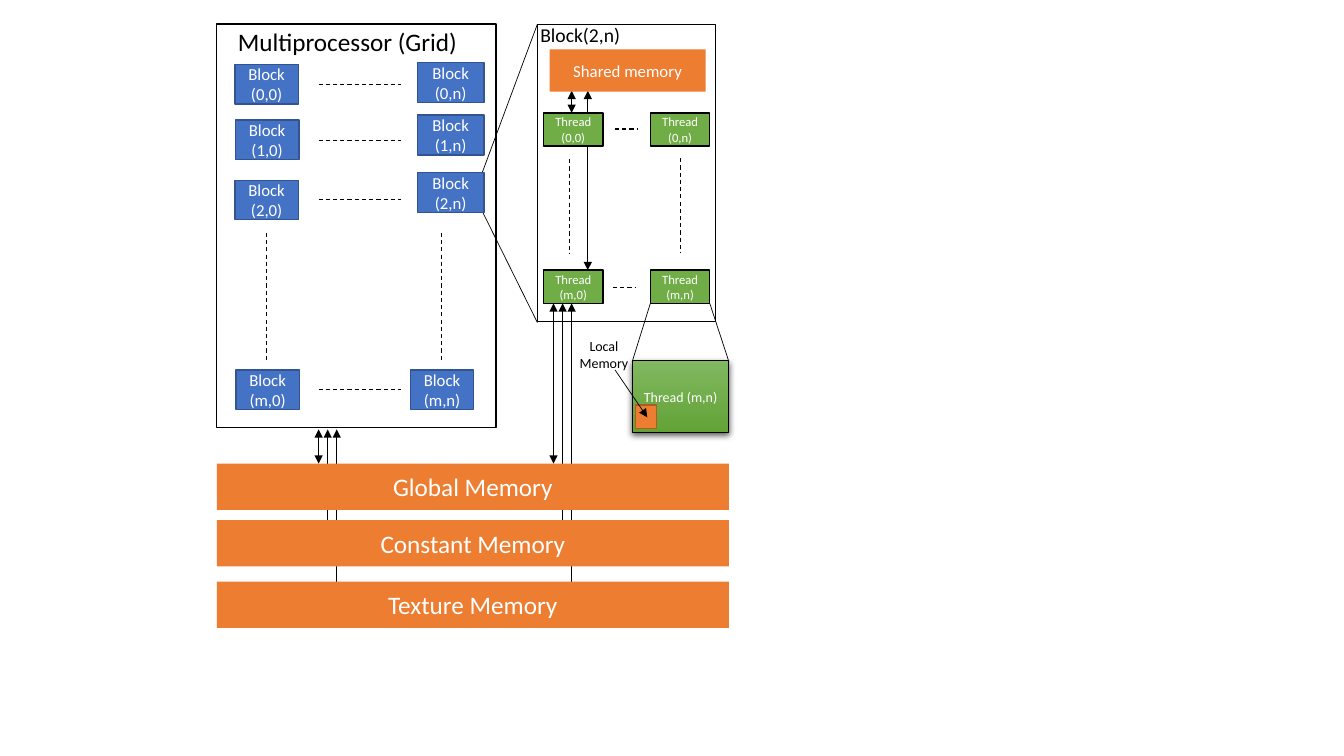
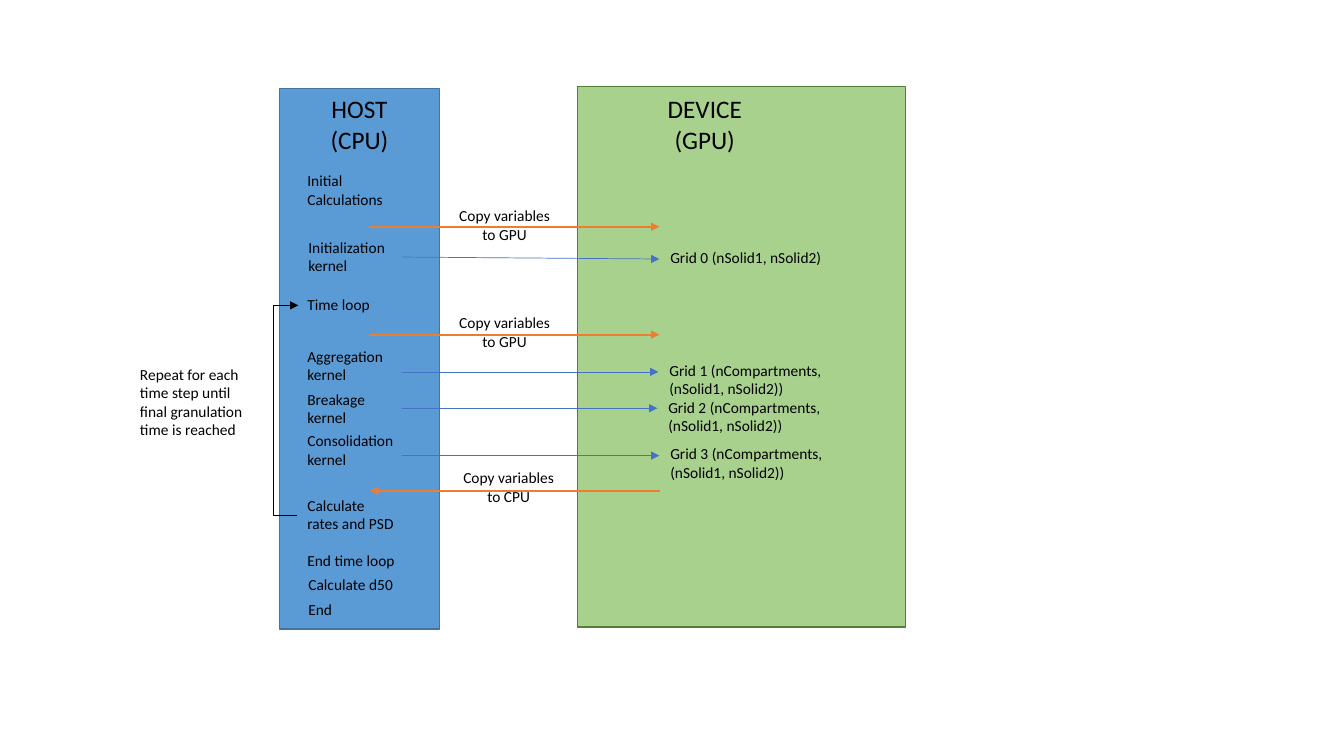
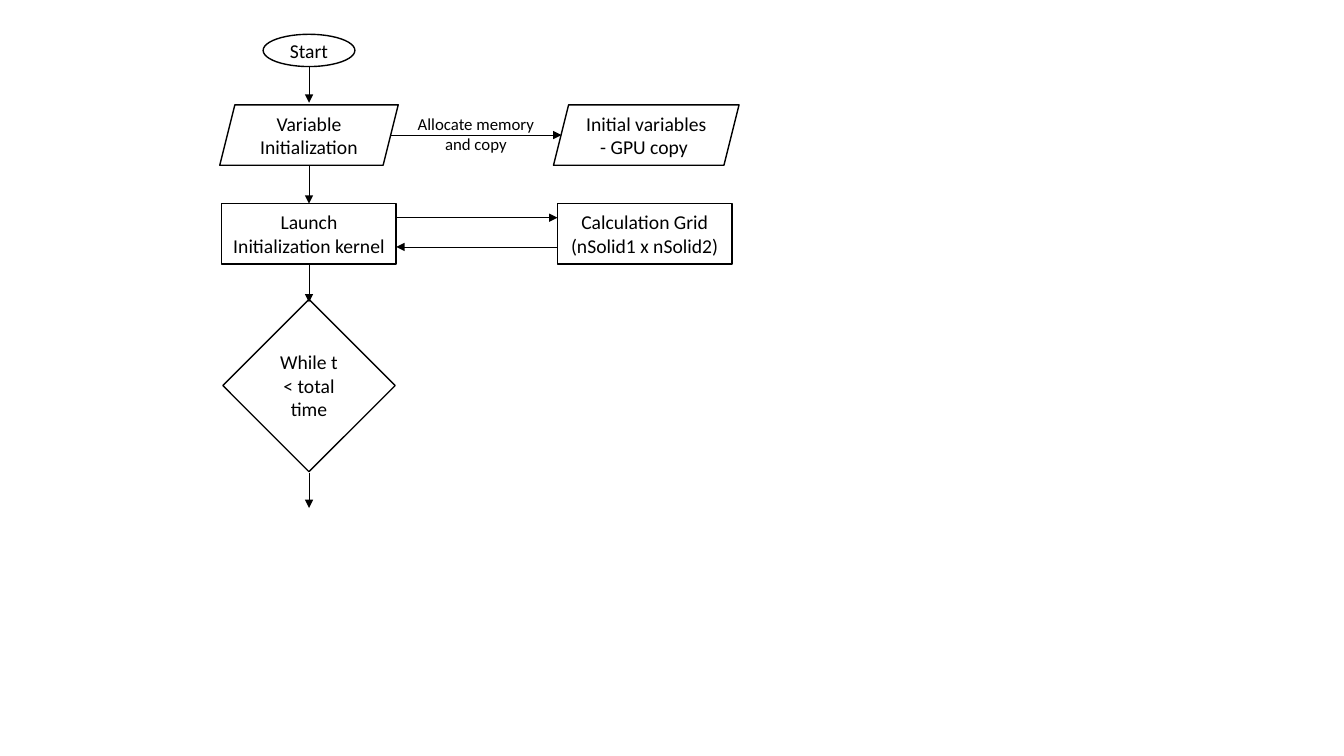
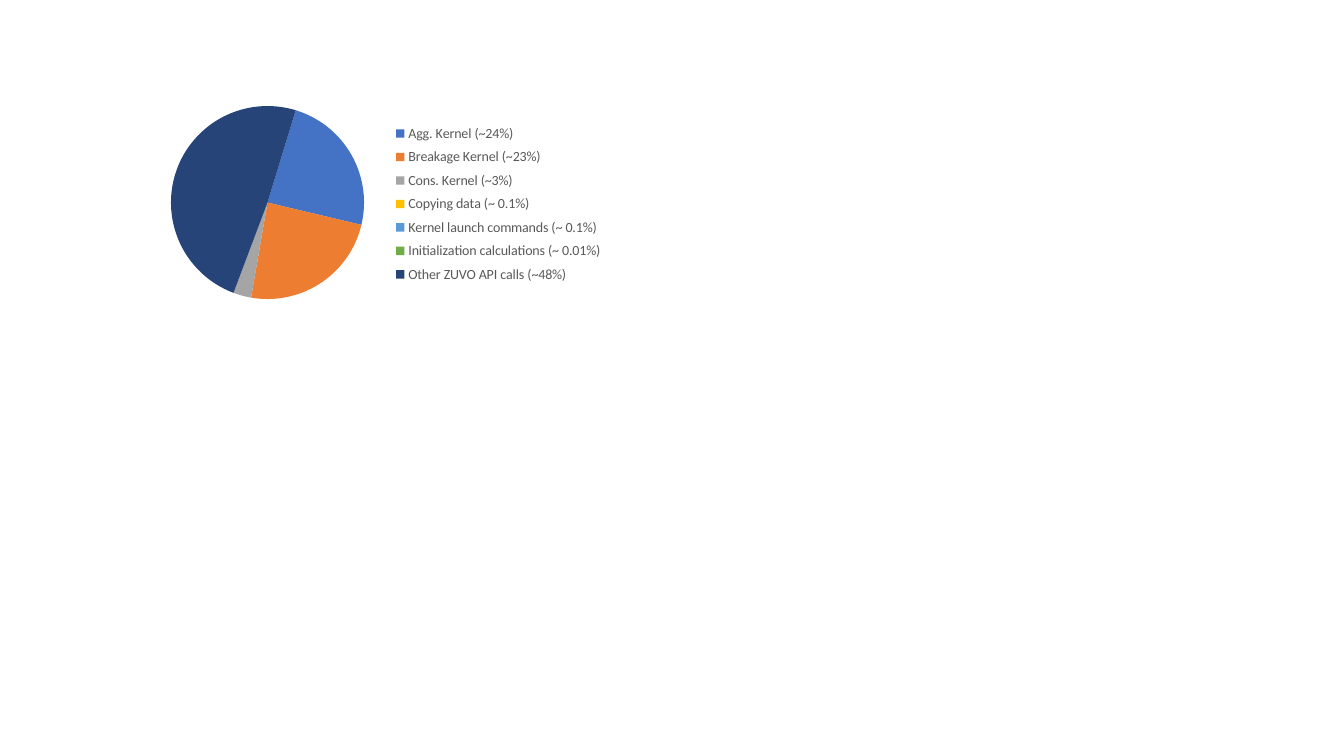
from dataclasses import dataclass
from typing import Optional

from lxml import etree
from pptx import Presentation
from pptx.chart.data import CategoryChartData
from pptx.dml.color import RGBColor
from pptx.enum.chart import XL_CHART_TYPE, XL_LEGEND_POSITION
from pptx.enum.dml import MSO_LINE
from pptx.enum.shapes import MSO_CONNECTOR, MSO_SHAPE
from pptx.enum.text import MSO_ANCHOR, MSO_AUTO_SIZE, PP_ALIGN
from pptx.oxml import parse_xml
from pptx.oxml.ns import nsdecls, qn
from pptx.util import Inches, Pt

RECT, ELLIPSE = MSO_SHAPE.RECTANGLE, MSO_SHAPE.OVAL
SLANTED, DIAMOND = MSO_SHAPE.PARALLELOGRAM, MSO_SHAPE.DIAMOND
STRAIGHT, ELBOW = MSO_CONNECTOR.STRAIGHT, MSO_CONNECTOR.ELBOW
LEFT, CENTER = PP_ALIGN.LEFT, PP_ALIGN.CENTER
MIDDLE, GROW, DASH = MSO_ANCHOR.MIDDLE, MSO_AUTO_SIZE.SHAPE_TO_FIT_TEXT, MSO_LINE.DASH
PIE, BOTTOM = XL_CHART_TYPE.PIE, XL_LEGEND_POSITION.BOTTOM


@dataclass(frozen=True)
class Theme:
    font: str = "Calibri"
    black: str = "000000"
    white: str = "FFFFFF"
    gray: str = "595959"
    blue: str = "4472C4"
    blue_edge: str = "325491"
    orange: str = "ED7D31"
    orange_edge: str = "AF5C24"
    green: str = "70AD47"
    sky: str = "5B9BD5"
    sky_edge: str = "43739E"
    mint: str = "A9D18E"
    mint_edge: str = "538035"
    card_top: str = "81B861"
    card_bottom: str = "62A336"
    slices: tuple[str, ...] = (
        "4472C4", "ED7D31", "A5A5A5", "FFC000", "5B9BD5", "70AD47", "264478")
    tiny: float = 9
    small: float = 10
    note: float = 11
    label: float = 12
    step: float = 14
    head: float = 18
    thin: float = 0.5
    dash: float = 0.75
    edge: float = 1
    thick: float = 1.5


T = Theme()


@dataclass(frozen=True)
class Style:
    fill: Optional[str] = None
    line: Optional[str] = None
    size: float = T.label
    color: str = T.white
    width: float = T.edge


@dataclass(frozen=True)
class Box:
    x: float
    y: float
    w: float
    h: float
    text: str = ""
    kind: MSO_SHAPE = RECT


@dataclass(frozen=True)
class Label:
    x: float
    y: float
    w: float
    h: float
    text: str
    size: float = T.note
    align: PP_ALIGN = LEFT


@dataclass(frozen=True)
class Line:
    x1: float
    y1: float
    x2: float
    y2: float
    head: bool = False
    tail: bool = False
    color: str = T.black
    width: float = T.thin
    dashed: bool = False


FRAME = Style(line=T.black, size=T.step, color=T.black)
BLOCK = Style(T.blue, T.blue_edge)
THREAD = Style(T.green, T.black, T.tiny)
CARD = Style(T.green, T.black, T.small, width=T.dash)
LOCAL = Style(T.orange, T.orange_edge)
SHARED = Style(T.orange)
MEMORY = Style(T.orange, size=T.head)
HOST = Style(T.sky, T.sky_edge)
DEVICE = Style(T.mint, T.mint_edge)


def grid(cells: float) -> int:
    return Inches(cells / 10)


def rgb(color: str) -> RGBColor:
    return RGBColor.from_string(color)


def write(shape, text: str, size: float, color: str, align: PP_ALIGN) -> None:
    tf = shape.text_frame
    tf.text = text
    tf.word_wrap = True
    p = tf.paragraphs[0]
    p.alignment = align
    for r in p.runs:
        r.font.name = T.font
        r.font.size = Pt(size)
        r.font.color.rgb = rgb(color)


def draw_box(s, box: Box, style: Style):
    sp = s.shapes.add_shape(box.kind, *map(grid, (box.x, box.y, box.w, box.h)))
    sp.shadow.inherit = False
    if style.fill:
        sp.fill.solid()
        sp.fill.fore_color.rgb = rgb(style.fill)
    else:
        sp.fill.background()
    if style.line:
        sp.line.color.rgb = rgb(style.line)
        sp.line.width = Pt(style.width)
    else:
        sp.line.fill.background()
    if box.text:
        write(sp, box.text, style.size, style.color, CENTER)
        sp.text_frame.vertical_anchor = MIDDLE
    return sp


def draw_label(s, label: Label) -> None:
    tb = s.shapes.add_textbox(*map(grid, (label.x, label.y, label.w, label.h)))
    write(tb, label.text, label.size, T.black, label.align)
    tb.text_frame.auto_size = GROW


def draw_line(s, line: Line, kind: MSO_CONNECTOR = STRAIGHT):
    cx = s.shapes.add_connector(kind, *map(grid, (line.x1, line.y1, line.x2, line.y2)))
    cx.line.color.rgb = rgb(line.color)
    cx.line.width = Pt(line.width)
    if line.dashed:
        cx.line.dash_style = DASH
    sp_pr = cx._element.spPr
    ln = sp_pr.find(qn("a:ln"))
    for shown, tag in ((line.head, "a:headEnd"), (line.tail, "a:tailEnd")):
        if shown:
            etree.SubElement(ln, qn(tag)).set("type", "triangle")
    etree.SubElement(sp_pr, qn("a:effectLst"))
    return cx


def dashed(x1: float, y1: float, x2: float, y2: float) -> Line:
    return Line(x1, y1, x2, y2, width=T.dash, dashed=True)


def arrow(x1: float, y1: float, x2: float, y2: float) -> Line:
    return Line(x1, y1, x2, y2, tail=True)


def double(x1: float, y1: float, x2: float, y2: float) -> Line:
    return Line(x1, y1, x2, y2, head=True, tail=True)


def draw_card(s, box: Box) -> None:
    sp = draw_box(s, box, CARD)
    sp.fill.gradient()
    sp.fill.gradient_angle = 270
    for stop, color in zip(sp.fill.gradient_stops, (T.card_top, T.card_bottom)):
        stop.color.rgb = rgb(color)
    effects = sp._element.spPr.find(qn("a:effectLst"))
    effects.append(parse_xml(
        f'<a:outerShdw {nsdecls("a")} blurRad="{Pt(4.5)}" dist="{Pt(1.5)}" dir="5400000" '
        f'algn="ctr" rotWithShape="0"><a:srgbClr val="{T.black}">'
        '<a:alpha val="63000"/></a:srgbClr></a:outerShdw>'))


def build_memory_slide(s) -> None:
    for frame in (Box(21.5, 2.4, 27.7, 40), Box(53.3, 2.4, 17.7, 29.5)):
        draw_box(s, frame, FRAME)

    callouts = ((47.8, 17.2, 53.3, 2.4), (47.8, 20.9, 53.3, 32),
                (64.5, 30.1, 62.7, 35.9), (70.4, 30.1, 72.3, 35.9))
    gaps = [(31.6, y, 39.8, y) for y in (8.4, 13.9, 19.8, 38.6)]
    gaps += [(x, 23.1, x, 35.8) for x in (26.4, 43.8)]
    gaps += [(61, 12.8, 63.2, 12.8), (60.8, 28.5, 63, 28.5),
             (56.5, 15.8, 56.5, 25.2), (67.5, 15.7, 67.5, 25.1)]
    lines = [Line(*c) for c in callouts] + [dashed(*g) for g in gaps]
    lines += [double(58.3, 9, 58.3, 26.8), double(56.7, 9, 56.7, 11.2)]
    for x, top in ((31.6, 42.6), (54.9, 30.1)):
        lines += [double(x, top, x, 46),
                  arrow(x + 0.9, 53, x + 0.9, top),
                  arrow(x + 1.8, 60, x + 1.8, top)]
    for line in lines:
        draw_line(s, line)

    first_column = (("0", 23.3, 6.4), ("1", 23.35, 11.9), ("2", 23.3, 17.9), ("m", 23.4, 36.7))
    for row, x, y in first_column:
        draw_box(s, Box(x, y, 6.3, 3.9, f"Block ({row},0)"), BLOCK)
    for row, y in (("0", 6.2), ("1", 11.4), ("2", 17.1)):
        draw_box(s, Box(41.4, y, 6.6, 4, f"Block ({row},n)"), BLOCK)
    draw_box(s, Box(40.7, 36.7, 6.3, 3.9, "Block (m,n)"), BLOCK)

    draw_box(s, Box(54.5, 4.9, 15.5, 4.2, "Shared memory"), SHARED)
    for row, y in (("0", 11.2), ("m", 26.8)):
        for column, x in (("0", 53.9), ("n", 64.5)):
            draw_box(s, Box(x, y, 5.9, 3.3, f"Thread({row},{column})"), THREAD)

    draw_card(s, Box(62.7, 35.8, 9.6, 7.1, "Thread (m,n)"))
    draw_box(s, Box(63, 40.2, 2.1, 2.3), LOCAL)
    draw_line(s, arrow(61, 36.7, 64.2, 41.4))
    for name, y in (("Texture", 57.7), ("Constant", 51.6), ("Global", 46)):
        draw_box(s, Box(21.5, y, 50.8, 4.6, f"{name} Memory"), MEMORY)

    for label in (Label(22.6, 2.1, 24.9, 4, "Multiprocessor (Grid)", T.head),
                  Label(52.6, 1.8, 10.1, 3.4, "Block(2,n)", T.step),
                  Label(56, 33, 7.8, 4.4, "Local Memory", T.small, CENTER)):
        draw_label(s, label)


def build_host_device_slide(s) -> None:
    draw_box(s, Box(27.7, 8.8, 15.9, 53.6), HOST)
    draw_box(s, Box(57.3, 8.6, 32.5, 53.6), DEVICE)
    draw_label(s, Label(30.2, 8.8, 10.9, 7.1, "HOST (CPU)", T.head, CENTER))
    draw_label(s, Label(62.4, 8.8, 15, 7.1, "DEVICE (GPU)", T.head, CENTER))

    one, two = 2.9, 4.7
    steps = (
        ("Initial Calculations", 29.5, 16.5, 10.4, two),
        ("Initialization kernel", 29.6, 23.1, 10.4, two),
        ("Time loop", 29.5, 28.8, 11.6, one),
        ("Aggregation kernel", 29.5, 33.9, 10.4, two),
        ("Breakage kernel", 29.5, 38.2, 10.4, two),
        ("Consolidation kernel", 29.5, 42.3, 11.6, two),
        ("Calculate rates and PSD", 29.5, 48.7, 10.9, two),
        ("End time loop", 29.5, 54.2, 11.9, one),
        ("Calculate d50", 29.6, 56.6, 11.9, one),
        ("End ", 29.6, 59, 11.9, one),
        ("Repeat for each time step until final granulation time is reached",
         12.9, 35.7, 13.3, 8.4),
    )
    for text, x, y, w, h in steps:
        draw_label(s, Label(x, y, w, h, text))

    nested = "(nCompartments, (nSolid1, nSolid2))"
    launches = (("Grid 0 (nSolid1, nSolid2)", 65.5, 24.1, 18.6, one, 25.5, 25.7),
                (f"Grid 1 {nested}", 65.4, 35.3, 18.6, two, 36.9, 36.9),
                (f"Grid 2 {nested}", 65.3, 39, 18.6, two, 40.5, 40.5),
                (f"Grid 3 {nested}", 65.5, 43.6, 17.4, two, 45.2, 45.2))
    for text, x, y, w, h, start, end in launches:
        draw_line(s, Line(39.9, start, x - 0.1, end, tail=True, color=T.blue))
        draw_label(s, Label(x, y, w, h, text))

    copies = (("GPU", 44.1, 20, 36.6, 65.4, 22.5),
              ("GPU", 44.1, 30.6, 36.6, 65.4, 33.2),
              ("CPU", 44.5, 46, 65.5, 36.7, 48.7))
    for target, x, y, start, end, level in copies:
        draw_line(s, Line(start, level, end, level, tail=True, color=T.orange, width=T.thick))
        draw_label(s, Label(x, y, 11.9, two, f"Copy variables to {target}", align=CENTER))

    run, reach = 0.1, -2.4
    loop = draw_line(s, arrow(29.5, 51.1, 29.5 + run, 30.3), ELBOW)
    guides = loop._element.spPr.find(qn("a:prstGeom")).find(qn("a:avLst"))
    guide = etree.SubElement(guides, qn("a:gd"))
    guide.set("name", "adj1")
    guide.set("fmla", f"val {round(reach / run * 100000)}")


def build_flow_slide(s) -> None:
    boxes = (Box(26.1, 3.4, 9.1, 3.2, "Start", ELLIPSE),
             Box(21.8, 10.4, 17.7, 6, "Variable Initialization", SLANTED),
             Box(54.9, 10.4, 18.4, 6, "Initial variables - GPU copy ", SLANTED),
             Box(22, 20.2, 17.3, 6, "Launch Initialization kernel"),
             Box(55.3, 20.2, 17.3, 6, "Calculation Grid (nSolid1 x nSolid2)"),
             Box(22.1, 29.7, 17.1, 17.1, "While t < total time", DIAMOND))
    for box in boxes:
        draw_box(s, box, FRAME)
    for top, bottom in ((6.6, 10.2), (16.4, 20.2), (26.1, 30), (46.9, 50.4)):
        draw_line(s, arrow(30.65, top, 30.65, bottom))
    for start, end, y in ((38.7, 55.7, 13.4), (39.3, 55.3, 21.6), (55.3, 39.3, 24.5)):
        draw_line(s, arrow(start, y, end, y))
    draw_label(s, Label(39.1, 10.8, 16.2, 5, "Allocate memory and copy", T.label, CENTER))


def chart_layout(x: float, y: float, w: float, h: float, inner: bool = False):
    target = '<c:layoutTarget val="inner"/>' if inner else ""
    return parse_xml(
        f'<c:layout {nsdecls("c")}><c:manualLayout>{target}'
        '<c:xMode val="edge"/><c:yMode val="edge"/>'
        f'<c:x val="{x}"/><c:y val="{y}"/><c:w val="{w}"/><c:h val="{h}"/>'
        '</c:manualLayout></c:layout>')


def build_timing_slide(s) -> None:
    shares = {"Agg. Kernel (~24%)": 24, "Breakage Kernel (~23%)": 24,
              "Cons. Kernel (~3%)": 3, "Copying data (~ 0.1%)": 0,
              "Kernel launch commands (~ 0.1%)": 0,
              "Initialization calculations (~ 0.01%)": 0,
              "Other ZUVO API calls (~48%)": 49}
    data = CategoryChartData()
    data.categories = list(shares)
    data.add_series("Series 1", list(shares.values()))
    frame = s.shapes.add_chart(PIE, *map(grid, (12.7, 6.3, 53.2, 30)), data)
    chart = frame.chart
    chart.has_title = False
    chart.font.name = T.font
    chart.font.size = Pt(T.small)
    chart.font.color.rgb = rgb(T.black)

    plot = chart.plots[0]
    plot.vary_by_categories = True
    for i, color in enumerate(T.slices):
        fill = plot.series[0].points[i].format.fill
        fill.solid()
        fill.fore_color.rgb = rgb(color)
    pie = plot._element
    for angle in pie.findall(qn("c:firstSliceAng")):
        pie.remove(angle)
    etree.SubElement(pie, qn("c:firstSliceAng")).set("val", "17")
    area = pie.getparent()
    for layout in area.findall(qn("c:layout")):
        area.remove(layout)
    area.insert(0, chart_layout(0.08, 0.14, 0.36, 0.64, inner=True))

    chart.has_legend = True
    legend = chart.legend
    legend.position = BOTTOM
    legend.include_in_layout = False
    legend.font.name = T.font
    legend.font.size = Pt(T.small)
    legend.font.color.rgb = rgb(T.gray)
    element = legend._element
    for layout in element.findall(qn("c:layout")):
        element.remove(layout)
    element.find(qn("c:legendPos")).addnext(chart_layout(0.49, 0.18, 0.4, 0.57))


prs = Presentation()
prs.slide_width, prs.slide_height = Inches(13.33), Inches(7.5)
blank = prs.slide_layouts[6]
for build in (build_memory_slide, build_host_device_slide, build_flow_slide, build_timing_slide):
    build(prs.slides.add_slide(blank))
prs.save("out.pptx")
